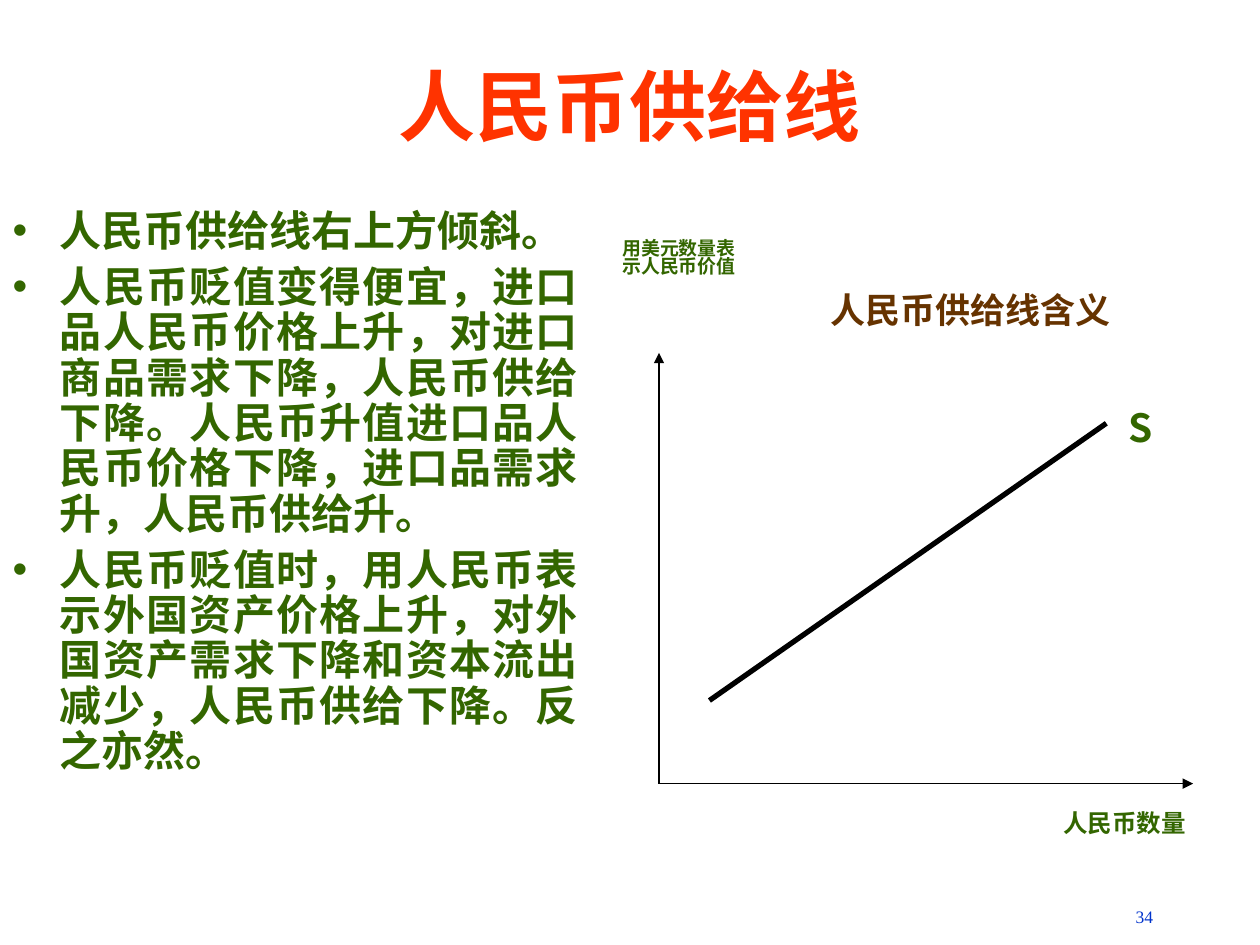
from dataclasses import dataclass

from lxml.etree import SubElement
from pptx import Presentation
from pptx.dml.color import RGBColor
from pptx.enum.shapes import MSO_CONNECTOR as Conn
from pptx.enum.text import MSO_ANCHOR as Anchor, MSO_AUTO_SIZE as Fit, PP_ALIGN as Al
from pptx.oxml.ns import qn
from pptx.util import Pt


@dataclass(frozen=True)
class Theme:
    cjk: str = "Noto Sans CJK SC"
    serif: str = "Times New Roman"
    red: str = "FF3300"
    green: str = "336600"
    brown: str = "663300"
    blue: str = "0033CC"
    black: str = "000000"
    title: float = 44
    body: float = 24
    caption: float = 20
    curve: float = 22.2
    x_label: float = 14
    y_label: float = 10.8
    number: float = 10


T = Theme()

POINTS = [
    "人民币供给线右上方倾斜。",
    "人民币贬值变得便宜，进口品人民币价格上升，对进口商品需求下降，人民币供给下降。"
    "人民币升值进口品人民币价格下降，进口品需求升，人民币供给升。",
    "人民币贬值时，用人民币表示外国资产价格上升，对外国资产需求下降和资本流出减少，"
    "人民币供给下降。反之亦然。",
]


def place(sp, box):
    for name, value in zip(("left", "top", "width", "height"), box):
        setattr(sp, name, Pt(value))


def write(p, text, size, color, font=T.cjk, bold=True, **para):
    r = p.add_run()
    r.text = text
    for name, value in {"size": Pt(size), "bold": bold, "name": font}.items():
        setattr(r.font, name, value)
    r.font.color.rgb = RGBColor.from_string(color)
    # East Asian glyphs take their own typeface
    SubElement(r.font._element, qn("a:ea"), typeface=T.cjk)
    for name, value in para.items():
        setattr(p, name, value)


def add_label(s, box, text, size, color, **style):
    sp = s.shapes.add_textbox(*map(Pt, box))
    sp.text_frame.word_wrap = True
    write(sp.text_frame.paragraphs[0], text, size, color, **style)


def add_line(s, start, end, width, arrow=False):
    line = s.shapes.add_connector(Conn.STRAIGHT, *map(Pt, start + end))
    line.line.width = Pt(width)
    line.line.color.rgb = RGBColor.from_string(T.black)
    if arrow:
        SubElement(line.line._get_or_add_ln(), qn("a:tailEnd"), type="triangle")
    SubElement(line._element.spPr, qn("a:effectLst"))


def add_title(s, box):
    sp = s.shapes.title
    place(sp, box)
    tf = sp.text_frame
    tf.auto_size, tf.vertical_anchor = Fit.NONE, Anchor.MIDDLE
    write(tf.paragraphs[0], "人民币供给线", T.title, T.red, alignment=Al.CENTER)


def set_bullet(p, indent):
    pPr = p._p.get_or_add_pPr()
    pPr.set("marL", str(Pt(indent)))
    pPr.set("indent", str(-Pt(indent)))
    color = SubElement(pPr, qn("a:buClr"))
    SubElement(color, qn("a:srgbClr"), val=T.green)
    SubElement(pPr, qn("a:buChar"), char="•")


def add_points(s, box):
    sp = s.placeholders[1]
    place(sp, box)
    tf = sp.text_frame
    tf.auto_size = Fit.NONE
    for i, text in enumerate(POINTS):
        p = tf.add_paragraph() if i else tf.paragraphs[0]
        write(p, text, T.body, T.green, alignment=Al.JUSTIFY,
              line_spacing=0.9, space_before=Pt(6))
        set_bullet(p, 27)


def add_supply_diagram(s, box):
    left, top, width, height = box

    def at(x, y, *size):
        return (left + x, top + y, *size)

    # Axes and supply curve
    origin = at(28.6, 313.8)
    add_line(s, origin, at(28.6, 67.6), 0.75, arrow=True)
    add_line(s, origin, at(333.8, 313.8), 0.75, arrow=True)
    add_line(s, at(57.4, 266.3), at(284.2, 107.9), 3)

    # Labels
    add_label(s, at(289.9, 96.4, 28.4, 36), "S", T.curve, T.green,
              line_spacing=0.9)
    add_label(s, at(0.5, 0, 79.5, 49), "用美元数量表示人民币价值",
              T.y_label, T.green, line_spacing=0.8)
    add_label(s, at(width - 93.6, height - 28, 93.6, 28), "人民币数量",
              T.x_label, T.green)
    add_label(s, at(119.3, 27.3, 202.3, 31.7), "人民币供给线含义",
              T.caption, T.brown, font=T.serif)


def add_number(s, box):
    add_label(s, box, "34", T.number, T.blue, font=T.serif, bold=False,
              alignment=Al.RIGHT)


def main():
    prs = Presentation()
    prs.slide_width, prs.slide_height = Pt(720), Pt(540)
    s = prs.slides.add_slide(prs.slide_layouts[1])
    add_number(s, (516, 514, 150, 23))
    add_title(s, (54, 24, 612, 72))
    add_points(s, (0, 116.6, 337.7, 374.4))
    add_supply_diagram(s, (348, 134, 346, 352))
    prs.save("out.pptx")


if __name__ == "__main__":
    main()
